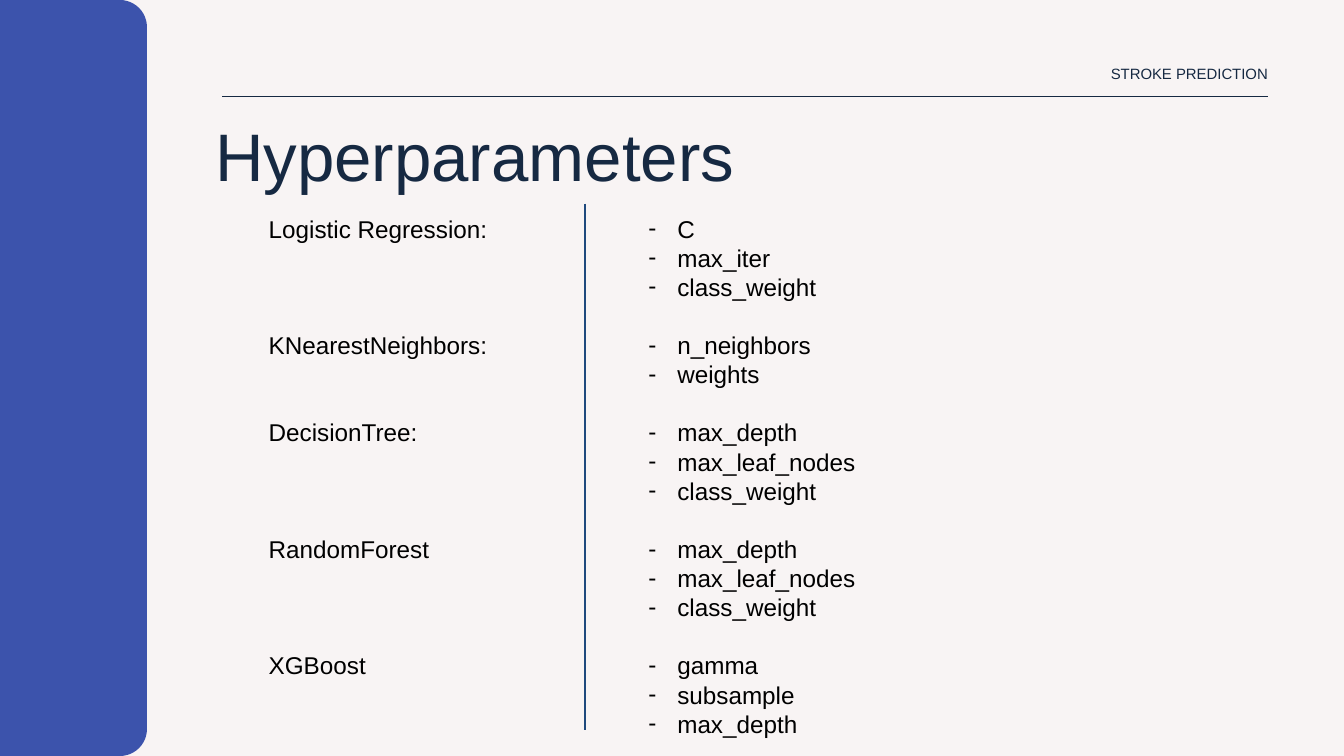
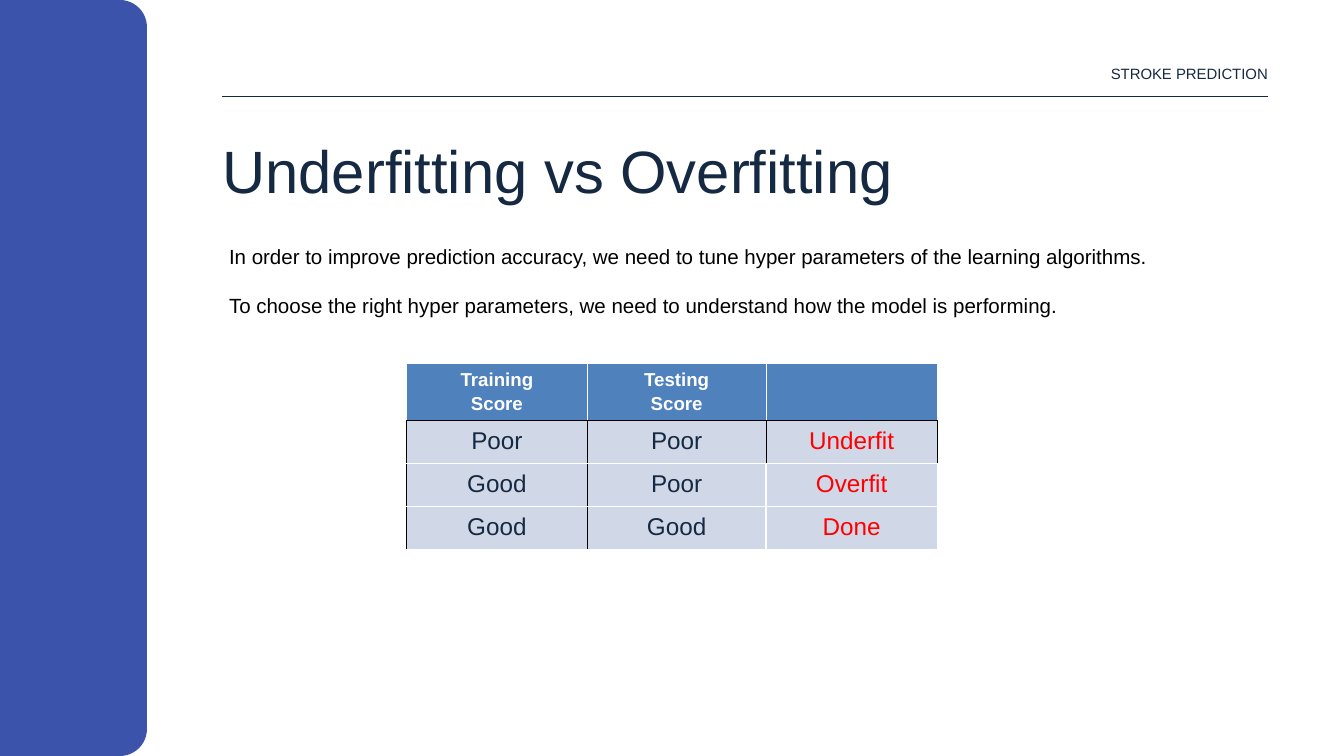
from dataclasses import dataclass

from lxml import etree
from pptx import Presentation
from pptx import util as u
from pptx.dml.color import RGBColor
from pptx.enum import shapes, text
from pptx.oxml import ns

Pt = u.Pt


@dataclass(frozen=True)
class Theme:
    font: str = "Arial"
    navy: str = "162942"
    black: str = "000000"
    white: str = "FFFFFF"
    cream: str = "F8F4F4"
    panel: str = "3C53AC"
    divider: str = "1F497D"
    table_head: str = "4F81BD"
    table_body: str = "D0D8E8"
    verdict: str = "FF0000"
    running_head: int = 16
    table_head_size: int = 20
    body: int = 22
    list_size: int = 26


THEME = Theme()
TITLE_ONLY = 5
LINE_PITCH = 1.2  # line distance of running text, in type sizes
LEFT, RIGHT = 238.3, 1358.6

HYPERPARAMETERS = {
    "Logistic Regression:": ["C", "max_iter", "class_weight"],
    "KNearestNeighbors:": ["n_neighbors", "weights"],
    "DecisionTree:": ["max_depth", "max_leaf_nodes", "class_weight"],
    "RandomForest": ["max_depth", "max_leaf_nodes", "class_weight"],
    "XGBoost": ["gamma", "subsample", "max_depth"],
}
SCORES = [
    ["Training\nScore", "Testing\nScore", ""],
    ["Poor", "Poor", "Underfit"],
    ["Good", "Poor", "Overfit"],
    ["Good", "Good", "Done"],
]


def rgb(color):
    return RGBColor.from_string(color)


def add_xml(parent, tag, **attributes):
    return etree.SubElement(parent, ns.qn(tag), attributes)


# Text
def write(frame, content, size, color=THEME.black, bold=False, align=None,
          spacing=None, gaps=None, dashed=False):
    """Write one paragraph per line; gaps are the points above each one."""
    for index, line in enumerate(content.split("\n")):
        paragraph = frame.paragraphs[0] if index == 0 else frame.add_paragraph()
        paragraph.alignment = align
        paragraph.line_spacing = spacing or Pt(size * LINE_PITCH)
        if gaps:
            paragraph.space_before = Pt(gaps[index])
        if dashed:
            add_dash(paragraph)
        run = paragraph.add_run()
        run.text = line
        run.font.name = THEME.font
        run.font.size = Pt(size)
        run.font.bold = bold
        run.font.color.rgb = rgb(color)


def add_dash(paragraph):
    properties = paragraph._p.get_or_add_pPr()
    properties.set("marL", str(Pt(36)))
    properties.set("indent", str(-Pt(31)))
    color = add_xml(properties, "a:buClr")
    add_xml(color, "a:srgbClr", val=THEME.black)
    add_xml(properties, "a:buFont", typeface=THEME.font)
    add_xml(properties, "a:buChar", char="-")


def set_up_frame(frame, inset):
    frame.word_wrap = True
    frame.auto_size = text.MSO_AUTO_SIZE.NONE
    frame.vertical_anchor = text.MSO_ANCHOR.TOP
    frame.margin_left = frame.margin_right = Pt(inset)
    frame.margin_top = frame.margin_bottom = Pt(inset)


def add_text(slide, box, content, size, inset=7.2, **style):
    frame = slide.shapes.add_textbox(*map(Pt, box)).text_frame
    set_up_frame(frame, inset)
    write(frame, content, size, **style)


def set_title(slide, box, content, size):
    title = slide.shapes.title
    title.left, title.top, title.width, title.height = map(Pt, box)
    set_up_frame(title.text_frame, 0)
    write(title.text_frame, content, size, color=THEME.navy,
          align=text.PP_ALIGN.LEFT, spacing=1.1)


# Lines and shared parts
def add_line(slide, start, end, color, width):
    line = slide.shapes.add_connector(
        shapes.MSO_CONNECTOR.STRAIGHT, *map(Pt, start + end))
    line.line.color.rgb = rgb(color)
    line.line.width = Pt(width)
    add_xml(line._element.spPr, "a:effectLst")


def add_side_panel(slide):
    left, width, height, radius = -100, 257.5, 810, 29
    panel = slide.shapes.add_shape(
        shapes.MSO_SHAPE.ROUNDED_RECTANGLE, *map(Pt, (left, 0, width, height)))
    panel.adjustments[0] = radius / width
    panel.shadow.inherit = False
    panel.fill.solid()
    panel.fill.fore_color.rgb = rgb(THEME.panel)
    panel.line.fill.background()


def add_base_slide(deck, background):
    slide = deck.slides.add_slide(deck.slide_layouts[TITLE_ONLY])
    slide.background.fill.solid()
    slide.background.fill.fore_color.rgb = rgb(background)
    add_side_panel(slide)
    add_line(slide, (LEFT, 103.3), (RIGHT, 103.3), THEME.navy, 0.75)
    add_text(slide, (958.3, 61.2, RIGHT - 958.3, 21), "STROKE PREDICTION",
             THEME.running_head, inset=0, color=THEME.navy,
             align=text.PP_ALIGN.RIGHT, spacing=1.4)
    return slide


# Score table
def horizontal_edge(edge, column):
    """Only the edge below the heading is black."""
    color = THEME.black if edge == 1 else THEME.white
    return color, 1.5 if edge >= 3 and column == 2 else 1


def vertical_edge(edge, row):
    """Black around the first body row and beside the score columns."""
    black = row == 1 or (row > 1 and edge < 2)
    return (THEME.black if black else THEME.white,
            1.5 if row > 1 and edge >= 2 else 1)


def set_borders(cell, row, column):
    edges = {
        "a:lnL": vertical_edge(column, row),
        "a:lnR": vertical_edge(column + 1, row),
        "a:lnT": horizontal_edge(row, column),
        "a:lnB": horizontal_edge(row + 1, column),
    }
    properties = cell._tc.get_or_add_tcPr()
    for tag, (color, width) in edges.items():
        border = add_xml(properties, tag, w=str(Pt(width)))
        add_xml(add_xml(border, "a:solidFill"), "a:srgbClr", val=color)


def add_score_table(slide):
    widths, heights = (193.7, 191.5, 183.6), (61, 46, 46, 46)
    table = slide.shapes.add_table(
        len(heights), len(widths), Pt(435.6), Pt(389.5),
        Pt(sum(widths)), Pt(sum(heights))).table
    for column, width in enumerate(widths):
        table.columns[column].width = Pt(width)
    for row, height in enumerate(heights):
        table.rows[row].height = Pt(height)
        heading = row == 0
        for column, label in enumerate(SCORES[row]):
            cell = table.cell(row, column)
            set_borders(cell, row, column)
            cell.fill.solid()
            cell.fill.fore_color.rgb = rgb(
                THEME.table_head if heading else THEME.table_body)
            if not label:
                continue
            body_color = THEME.verdict if column == 2 else THEME.navy
            write(cell.text_frame, label,
                  THEME.table_head_size if heading else THEME.list_size,
                  color=THEME.white if heading else body_color,
                  bold=heading, align=text.PP_ALIGN.CENTER, spacing=1.15)


# Slides
def build_hyperparameters(deck):
    slide = add_base_slide(deck, THEME.cream)
    set_title(slide, (230.4, 113.8, 728, 87), "Hyperparameters", 72)
    pitch = THEME.list_size * LINE_PITCH
    groups = list(HYPERPARAMETERS.values())

    # Each model name sits level with its first parameter
    name_gaps = [0] + [len(group) * pitch for group in groups[:-1]]
    parameter_gaps = [pitch if number and position == 0 else 0
                      for number, group in enumerate(groups)
                      for position in range(len(group))]
    add_text(slide, (280.8, 221.8, 324, 518.4), "\n".join(HYPERPARAMETERS),
             THEME.list_size, gaps=name_gaps)
    add_line(slide, (627.1, 218.2), (627.1, 781.9), THEME.divider, 2.25)
    add_text(slide, (682.6, 221.8, 275.8, 581.8),
             "\n".join(name for group in groups for name in group),
             THEME.list_size, gaps=parameter_gaps, dashed=True)


def build_fitting(deck):
    slide = add_base_slide(deck, THEME.white)
    set_title(slide, (LEFT, 135.4, 880.6, 77.8), "Underfitting vs Overfitting", 64)
    add_text(slide, (LEFT, 254.2, 1097.3, 94.3),
             "In order to improve prediction accuracy, we need to tune hyper "
             "parameters of the learning algorithms.\n"
             "To choose the right hyper parameters, we need to understand how "
             "the model is performing.",
             THEME.body, gaps=[0, THEME.body * LINE_PITCH])
    add_score_table(slide)


def main():
    deck = Presentation()
    deck.slide_width, deck.slide_height = Pt(1440), Pt(810)
    build_hyperparameters(deck)
    build_fitting(deck)
    deck.save("out.pptx")


if __name__ == "__main__":
    main()
